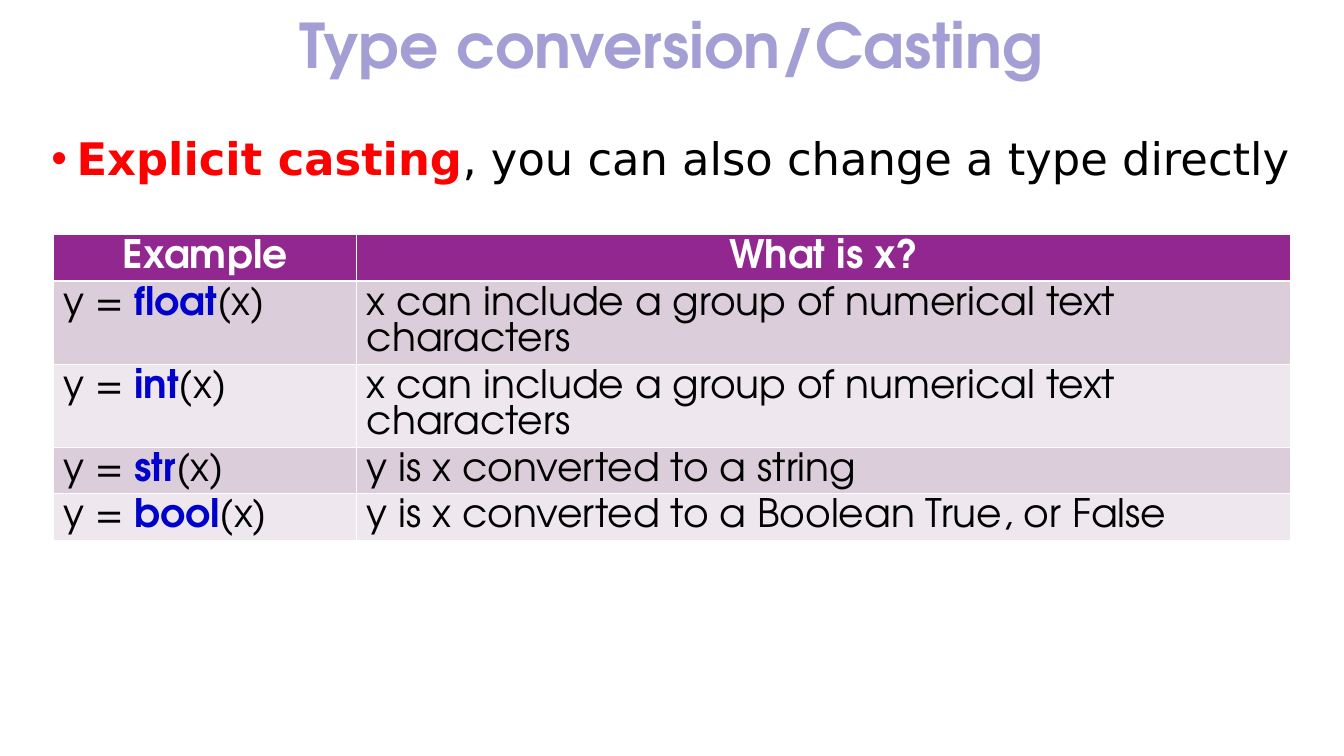
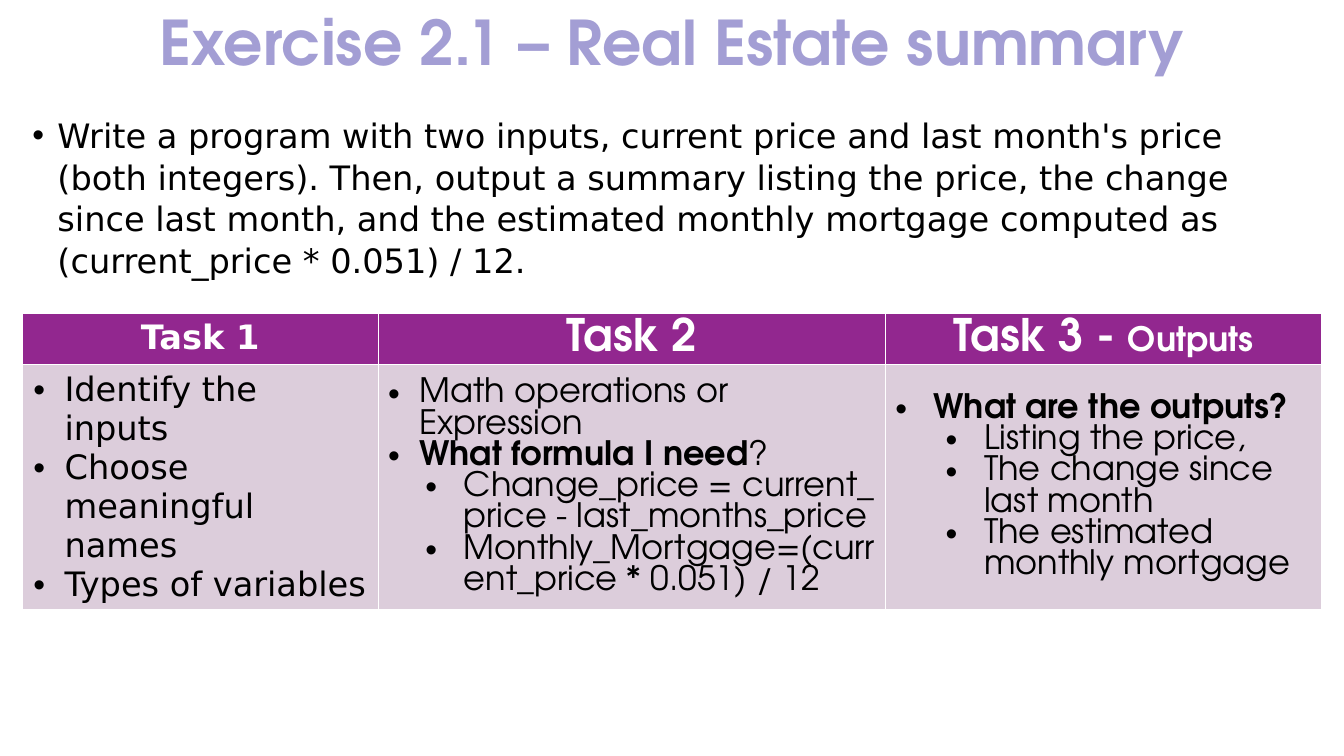
from dataclasses import dataclass

from lxml.etree import SubElement
from pptx import Presentation
from pptx.dml.color import RGBColor
from pptx.enum.text import MSO_ANCHOR as Anchor, MSO_AUTO_SIZE as Fit, PP_ALIGN as Align
from pptx.oxml.ns import qn
from pptx.util import Inches, Pt


@dataclass(frozen=True)
class Theme:
    head: str = "92278F"
    bands: tuple = ("DCCDDB", "EEE8EE")
    geo: str = "TeX Gyre Adventor"
    sans: str = "DejaVu Sans"


T = Theme()

# Text styles: size, font, colour, bold
STYLES = {
    "title": (44, T.geo, "A39ED4", True),
    "key": (32, T.sans, "FF0000", True),
    "lead": (32, T.sans, "000000", False),
    "body": (24, T.sans, "000000", False),
    "head": (28, T.geo, "FFFFFF", True),
    "cell": (28, T.geo, "000000", False),
    "code": (28, T.geo, "0000CC", True),
    "task": (32, T.geo, "FFFFFF", True),
    "tag": (24, T.geo, "FFFFFF", True),
    "first": (24, T.sans, "FFFFFF", True),
    "item": (24, T.geo, "000000", False),
    "ask": (24, T.geo, "000000", True),
}

# Bullet kinds: level, left margin, hanging indent
BULLETS = {
    "main": (0, 0.25, 0.25),
    "input": (1, 0.32, 0.31),
    "step": (0, 0.31, 0.31),
    "formula": (1, 0.75, 0.38),
    "result": (0, 0.38, 0.38),
    "output": (1, 0.88, 0.38),
}

# Content: a paragraph is (bullet kind, run, run, ...), a run is (text, style);
# "~" stands for a space that does not break
GROUP = "x can include a group of numerical text characters"
CASTS = [
    ("float", GROUP),
    ("int", GROUP),
    ("str", "y is x converted to a string"),
    ("bool", "y is x converted to a Boolean True, or False"),
]
CAST_ROWS = [[[(None, (name, "head"))] for name in ("Example", "What is x?")]] + [
    [[(None, ("y = ", "cell"), (name, "code"), ("(x)", "cell"))],
     [(None, (note, "cell"))]]
    for name, note in CASTS
]
TASK_ROWS = [
    [
        [(None, ("Task 1", "first"))],
        [(None, ("Task 2", "task"))],
        [(None, ("Task 3 - ", "task"), ("Outputs", "tag"))],
    ],
    [
        [("input", (text, "body")) for text in
         ("Identify the inputs", "Choose meaningful names", "Types of variables")],
        [
            ("step", ("Math operations or Expression", "item")),
            ("step", ("What formula I need", "ask"), ("?", "item")),
            ("formula", ("Change_price~=~current_price~-~last_months_price", "item")),
            ("formula", ("Monthly_Mortgage=(current_price~* 0.051) / 12", "item")),
        ],
        [("result", ("What are the outputs?", "ask"))] + [
            ("output", (text, "item")) for text in
            ("Listing the~price,", "The change since last~month",
             "The estimated monthly mortgage")],
    ],
]
BRIEF = (
    "Write a program with two inputs, current price and~last month's price "
    "(both integers). Then, output a summary~listing the price, the change "
    "since last month, and the~estimated monthly mortgage computed as "
    "(current_price~*~0.051) / 12."
)
SLIDES = [
    {
        "title": "Type conversion/Casting",
        "top": (0, 0, 13.33, 0.97),
        "body": [("main", ("Explicit casting", "key"),
                  (", you can also change a type directly", "lead"))],
        "area": (0.41, 1.23, 12.67, 4.76),
        "rows": CAST_ROWS, "spot": (0.53, 2.33), "cols": (3.01, 9.26),
        "anchor": Anchor.TOP,
    },
    {
        "title": "Exercise 2.1 – Real Estate summary",
        "top": (0, 0.01, 13.33, 0.89),
        "body": [("main", (BRIEF, "body"))],
        "area": (0.22, 1.08, 12.88, 2.03),
        "rows": TASK_ROWS, "spot": (0.22, 3.11), "cols": (3.53, 5.03, 4.33),
        "anchor": Anchor.MIDDLE,
    },
]
ROW = 0.41


def add_bullet(para, kind):
    level, left, hang = BULLETS[kind]
    para.level = level
    props = para._p.get_or_add_pPr()
    props.set("marL", str(Inches(left)))
    props.set("indent", str(-Inches(hang)))
    SubElement(props, qn("a:buFont")).set("typeface", "Arial")
    SubElement(props, qn("a:buChar")).set("char", "•")


def write(frame, paras, align=Align.LEFT, lines=None):
    for i, (kind, *runs) in enumerate(paras):
        para = frame.add_paragraph() if i else frame.paragraphs[0]
        para.alignment = align
        para.space_before = Pt(0)
        if lines:
            para.line_spacing = lines
        if kind:
            add_bullet(para, kind)
        for text, style in runs:
            run = para.add_run()
            run.text = text.replace("~", chr(160))
            size, face, color, bold = STYLES[style]
            font = run.font
            font.size, font.name, font.bold = Pt(size), face, bold
            font.color.rgb = RGBColor.from_string(color)


def place(holder, box, anchor):
    holder.left, holder.top, holder.width, holder.height = map(Inches, box)
    frame = holder.text_frame
    frame.word_wrap = True
    frame.auto_size = Fit.NONE
    frame.vertical_anchor = anchor
    return frame


def add_grid(slide, rows, spot, cols, anchor):
    size = Inches(sum(cols)), Inches(ROW * len(rows))
    grid = slide.shapes.add_table(len(rows), len(cols), *map(Inches, spot), *size).table
    for col, width in zip(grid.columns, cols):
        col.width = Inches(width)
    for r, row in enumerate(rows):
        grid.rows[r].height = Inches(ROW)
        for c, paras in enumerate(row):
            cell = grid.cell(r, c)
            cell.fill.solid()
            fill = T.bands[(r - 1) % 2] if r else T.head
            cell.fill.fore_color.rgb = RGBColor.from_string(fill)
            cell.vertical_anchor = anchor if r else Anchor.TOP
            write(cell.text_frame, paras, Align.LEFT if r else Align.CENTER)


def main():
    deck = Presentation()
    deck.slide_width, deck.slide_height = Inches(13.33), Inches(7.5)
    for page in SLIDES:
        slide = deck.slides.add_slide(deck.slide_layouts[1])
        # Title
        frame = place(slide.shapes.title, page["top"], Anchor.MIDDLE)
        write(frame, [(None, (page["title"], "title"))], Align.CENTER, 0.9)
        # Bullet text
        frame = place(slide.placeholders[1], page["area"], Anchor.TOP)
        write(frame, page["body"], lines=1.03)
        # Table
        add_grid(slide, page["rows"], page["spot"], page["cols"], page["anchor"])
    deck.save("out.pptx")


if __name__ == "__main__":
    main()
